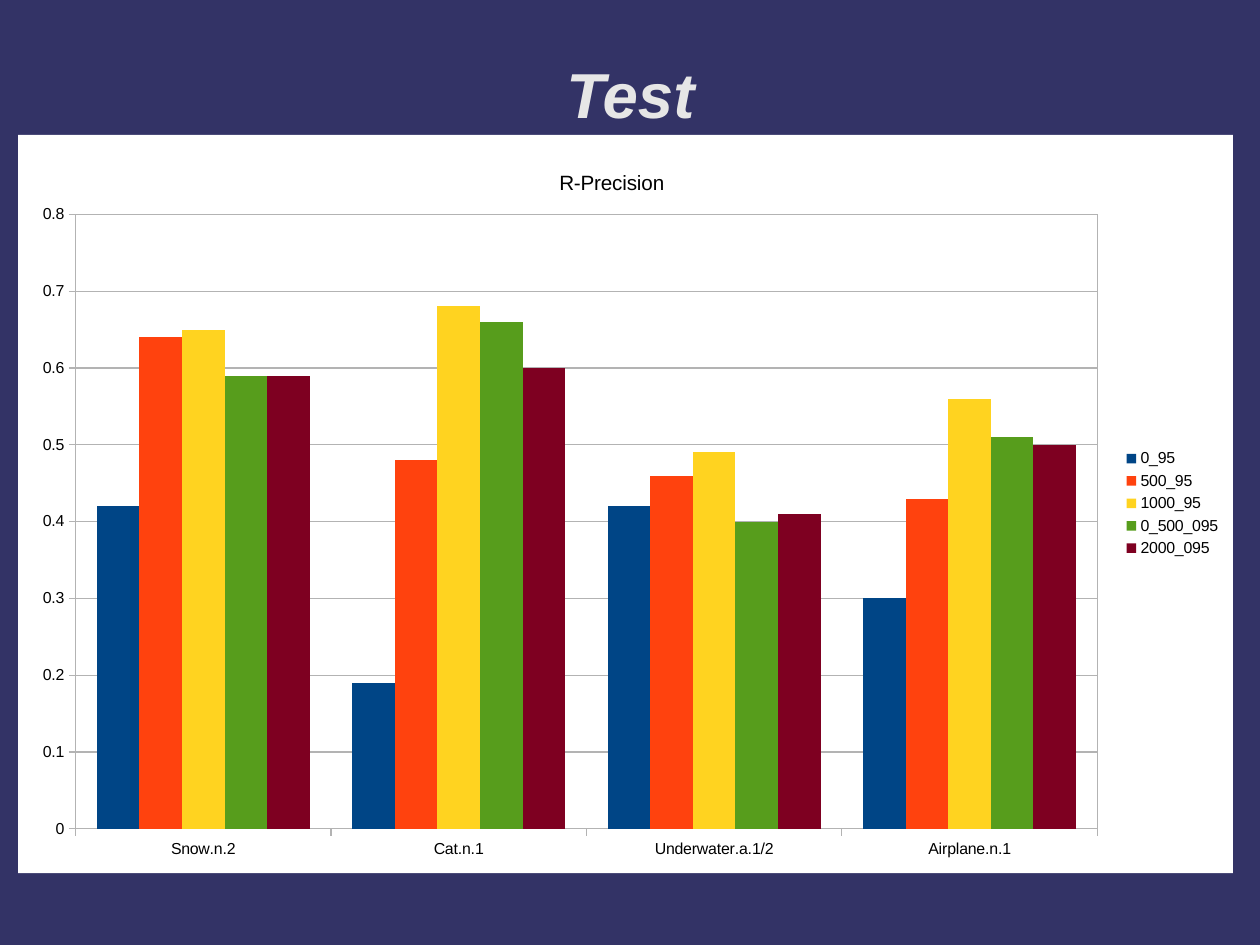
from pptx import Presentation
from pptx.chart.data import CategoryChartData
from pptx.dml.color import RGBColor
from pptx.enum.chart import XL_CHART_TYPE as CHART, XL_LEGEND_POSITION as LEGEND, XL_TICK_MARK as TICK
from pptx.enum.text import MSO_ANCHOR as ANCHOR, PP_ALIGN as ALIGN
from pptx.oxml import parse_xml
from pptx.oxml.ns import nsdecls, qn
from pptx.util import Pt

CHART_W, CHART_H = 765.2, 465


def rgb(color):
    return RGBColor.from_string(color)


def place(parent, index, x, y, extra=""):
    """Fix the top left corner of a chart part, in points from the chart's corner."""
    for old in parent.findall(qn("c:layout")):
        parent.remove(old)
    target = '<c:layoutTarget val="inner"/>' if extra else ""
    parent.insert(index, parse_xml(
        f'<c:layout {nsdecls("c")}><c:manualLayout>{target}'
        '<c:xMode val="edge"/><c:yMode val="edge"/>'
        f'<c:x val="{x / CHART_W}"/><c:y val="{y / CHART_H}"/>{extra}</c:manualLayout></c:layout>'))


prs = Presentation()
prs.slide_width, prs.slide_height = Pt(793.7), Pt(595.28)
s = prs.slides.add_slide(prs.slide_layouts[5])
s.background.fill.solid()
s.background.fill.fore_color.rgb = rgb("333366")

# Title
title = s.shapes.title
title.left, title.top, title.width, title.height = Pt(58.3), Pt(9), Pt(677.5), Pt(99.4)
tf = title.text_frame
tf.margin_left = tf.margin_right = tf.margin_top = tf.margin_bottom = 0
tf.vertical_anchor = ANCHOR.MIDDLE
tf.text = "Test"
p = tf.paragraphs[0]
p.alignment = ALIGN.CENTER
p.font.name, p.font.size = "Arial", Pt(40)
p.font.bold = p.font.italic = True
p.font.color.rgb = rgb("E6E6E6")

# Chart data
series = [
    ("0_95", "004586", (0.42, 0.19, 0.42, 0.3)),
    ("500_95", "FF420E", (0.64, 0.48, 0.46, 0.43)),
    ("1000_95", "FFD320", (0.65, 0.68, 0.49, 0.56)),
    ("0_500_095", "579D1C", (0.59, 0.66, 0.4, 0.51)),
    ("2000_095", "7E0021", (0.59, 0.6, 0.41, 0.5)),
]
data = CategoryChartData()
data.categories = ["Snow.n.2", "Cat.n.1", "Underwater.a.1/2", "Airplane.n.1"]
for name, color, values in series:
    data.add_series(name, values)
chart = s.shapes.add_chart(
    CHART.COLUMN_CLUSTERED, Pt(11.4), Pt(85), Pt(CHART_W), Pt(CHART_H), data).chart

# Bars
plot = chart.plots[0]
plot.gap_width, plot.overlap, plot.vary_by_categories = 100, 0, False
for bars, (name, color, values) in zip(plot.series, series):
    bars.format.fill.solid()
    bars.format.fill.fore_color.rgb = rgb(color)

# Axes and grid
cat_axis, val_axis = chart.category_axis, chart.value_axis
val_axis.minimum_scale, val_axis.maximum_scale, val_axis.major_unit = 0, 0.8, 0.1
val_axis.tick_labels.number_format = "General"
val_axis.tick_labels.number_format_is_linked = False
for axis in (cat_axis, val_axis):
    axis.major_tick_mark, axis.minor_tick_mark = TICK.OUTSIDE, TICK.NONE
for part in (cat_axis, val_axis, val_axis.major_gridlines):
    part.format.line.color.rgb = rgb("B3B3B3")
    part.format.line.width = Pt(0)

# Chart title, legend and fonts
chart.has_title = True
tf = chart.chart_title.text_frame
tf.text = "R-Precision"
title_font = tf.paragraphs[0].font
title_font.bold = False
chart.has_legend = True
chart.legend.position = LEGEND.RIGHT
chart.legend.include_in_layout = False
for font, size in ((chart.font, 10), (cat_axis.tick_labels.font, 10), (val_axis.tick_labels.font, 10),
                   (chart.legend.font, 10), (title_font, 13)):
    font.name, font.size = "Arial", Pt(size)
    font.color.rgb = rgb("000000")

# White chart background and gray plot frame
body = chart._chartSpace.find(qn("c:chart"))
area = body.find(qn("c:plotArea"))
body.addnext(parse_xml(
    f'<c:spPr {nsdecls("c", "a")}><a:solidFill><a:srgbClr val="FFFFFF"/></a:solidFill>'
    '<a:ln><a:noFill/></a:ln></c:spPr>'))
area.append(parse_xml(
    f'<c:spPr {nsdecls("c", "a")}><a:noFill/><a:ln w="0"><a:solidFill>'
    '<a:srgbClr val="B3B3B3"/></a:solidFill></a:ln></c:spPr>'))

# Places inside the chart
place(area, 0, 36.2, 50, f'<c:w val="{643.7 / CHART_W}"/><c:h val="{387.2 / CHART_H}"/>')
place(body.find(qn("c:title")), 1, 338.6, 20)
place(body.find(qn("c:legend")), 1, 695, 195.4)

prs.save("out.pptx")
